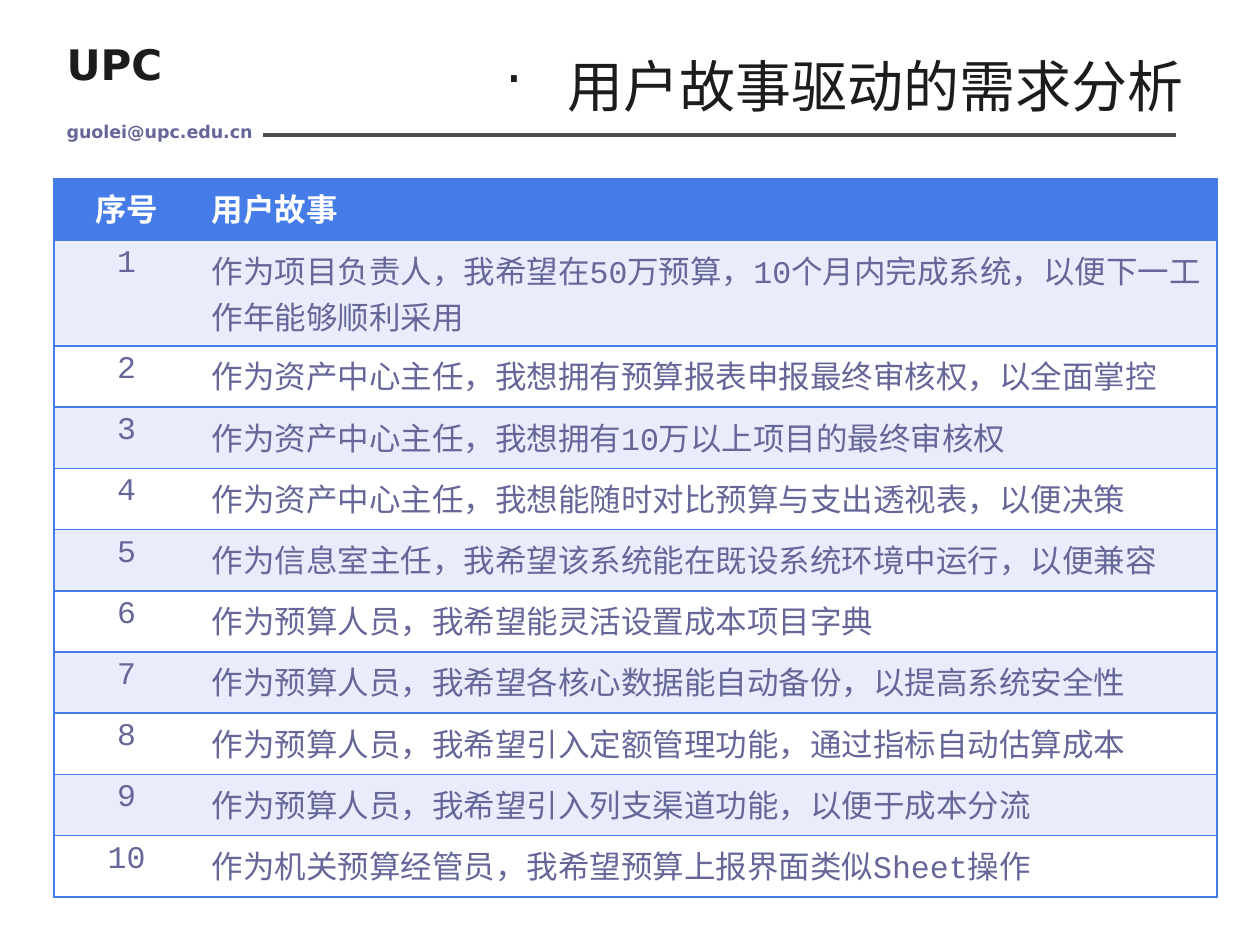
from lxml.etree import SubElement
from pptx import Presentation
from pptx.dml.color import RGBColor
from pptx.enum.shapes import MSO_CONNECTOR
from pptx.enum.text import MSO_ANCHOR, PP_ALIGN
from pptx.oxml.ns import qn
from pptx.util import Inches, Pt

INK = RGBColor(0x1C, 0x1C, 0x1C)
RULE_GRAY = RGBColor(0x4D, 0x4D, 0x4D)
PURPLE = RGBColor(0x66, 0x66, 0x99)
BLUE = RGBColor(0x46, 0x7C, 0xE8)
PALE_BLUE = RGBColor(0xE9, 0xEC, 0xFB)
WHITE = RGBColor(0xFF, 0xFF, 0xFF)

HEADINGS = ("序号", "用户故事")
STORIES = (
    "作为项目负责人，我希望在50万预算，10个月内完成系统，以便下一工作年能够顺利采用",
    "作为资产中心主任，我想拥有预算报表申报最终审核权，以全面掌控",
    "作为资产中心主任，我想拥有10万以上项目的最终审核权",
    "作为资产中心主任，我想能随时对比预算与支出透视表，以便决策",
    "作为信息室主任，我希望该系统能在既设系统环境中运行，以便兼容",
    "作为预算人员，我希望能灵活设置成本项目字典",
    "作为预算人员，我希望各核心数据能自动备份，以提高系统安全性",
    "作为预算人员，我希望引入定额管理功能，通过指标自动估算成本",
    "作为预算人员，我希望引入列支渠道功能，以便于成本分流",
    "作为机关预算经管员，我希望预算上报界面类似Sheet操作",
)


def format_font(font, name, size, color, bold):
    font.name = name
    font.size = Pt(size)
    font.color.rgb = color
    font.bold = bold


def add_label(slide, text, left, top, width, height, size, color):
    text_box = slide.shapes.add_textbox(left, top, width, height)
    text_box.text_frame.word_wrap = True
    paragraph = text_box.text_frame.paragraphs[0]
    paragraph.text = text
    format_font(paragraph.runs[0].font, "DejaVu Sans", size, color, True)


def add_header(slide, left, top, right):
    # School name and contact address
    add_label(slide, "UPC", left, top, Inches(1.26), Inches(0.5), 24, INK)
    add_label(slide, "guolei@upc.edu.cn", left, top + Inches(0.65),
              Inches(2.45), Inches(0.35), 10, PURPLE)

    # Thin rule beside the address
    rule_top = top + Inches(0.81)
    rule = slide.shapes.add_connector(
        MSO_CONNECTOR.STRAIGHT, left + Inches(1.66), rule_top, right, rule_top)
    rule.line.color.rgb = RULE_GRAY
    rule.line.width = Pt(0)
    SubElement(rule._element.spPr, qn("a:effectLst"))


def add_title(slide, left, top, width, height):
    title = slide.shapes.title
    title.left, title.top, title.width, title.height = left, top, width, height
    text_frame = title.text_frame
    text_frame.text = "用户故事驱动的需求分析"
    text_frame.vertical_anchor = MSO_ANCHOR.MIDDLE
    text_frame.margin_top = text_frame.margin_bottom = 0
    paragraph = text_frame.paragraphs[0]
    paragraph.alignment = PP_ALIGN.RIGHT
    paragraph.line_spacing = 1.1

    # Hanging bullet
    properties = paragraph._p.get_or_add_pPr()
    properties.set("marL", str(Inches(0.49)))
    properties.set("indent", str(-Inches(0.49)))
    bullet_color = SubElement(properties, qn("a:buClr"))
    SubElement(bullet_color, qn("a:srgbClr"), val=str(INK))
    SubElement(properties, qn("a:buChar"), char="·")
    format_font(paragraph.runs[0].font, "Arial", 32, INK, False)


def set_borders(cell, hidden_side):
    properties = cell._tc.get_or_add_tcPr()
    for side in ("lnL", "lnR", "lnT", "lnB"):
        border = SubElement(properties, qn(f"a:{side}"), w=str(Pt(1)))
        if side == hidden_side:
            SubElement(border, qn("a:noFill"))
        else:
            fill = SubElement(border, qn("a:solidFill"))
            SubElement(fill, qn("a:srgbClr"), val=str(BLUE))


def add_story_table(slide, left, top, width, height):
    rows = [HEADINGS]
    rows += [(str(number), story) for number, story in enumerate(STORIES, 1)]
    table = slide.shapes.add_table(
        len(rows), len(HEADINGS), left, top, width, height).table
    table.horz_banding = False

    # The first story takes two lines; the other rows share the rest
    number_width, tall_row = Inches(1.15), Inches(0.84)
    table.columns[0].width = number_width
    table.columns[1].width = width - number_width
    for row in table.rows:
        row.height = (height - tall_row) // (len(rows) - 1)
    table.rows[1].height = tall_row

    for row_index, texts in enumerate(rows):
        is_heading = row_index == 0
        row_fill = BLUE if is_heading else (WHITE, PALE_BLUE)[row_index % 2]
        for column_index, text in enumerate(texts):
            cell = table.cell(row_index, column_index)
            set_borders(cell, ("lnR", "lnL")[column_index])
            cell.fill.solid()
            cell.fill.fore_color.rgb = row_fill
            cell.text = text
            paragraph = cell.text_frame.paragraphs[0]
            paragraph.alignment = (PP_ALIGN.CENTER, PP_ALIGN.LEFT)[column_index]
            format_font(paragraph.runs[0].font, "Courier New", 18,
                        WHITE if is_heading else PURPLE, is_heading)


def main():
    presentation = Presentation()
    presentation.slide_width = Inches(10)
    presentation.slide_height = Inches(7.5)
    title_only = presentation.slide_layouts[5]
    slide = presentation.slides.add_slide(title_only)

    add_header(slide, Inches(0.43), Inches(0.26), Inches(9.33))
    add_title(slide, Inches(0.5), Inches(0.28), Inches(9), Inches(0.74))
    add_story_table(slide, Inches(0.43), Inches(1.42), Inches(9.23), Inches(5.7))
    presentation.save("out.pptx")


if __name__ == "__main__":
    main()
